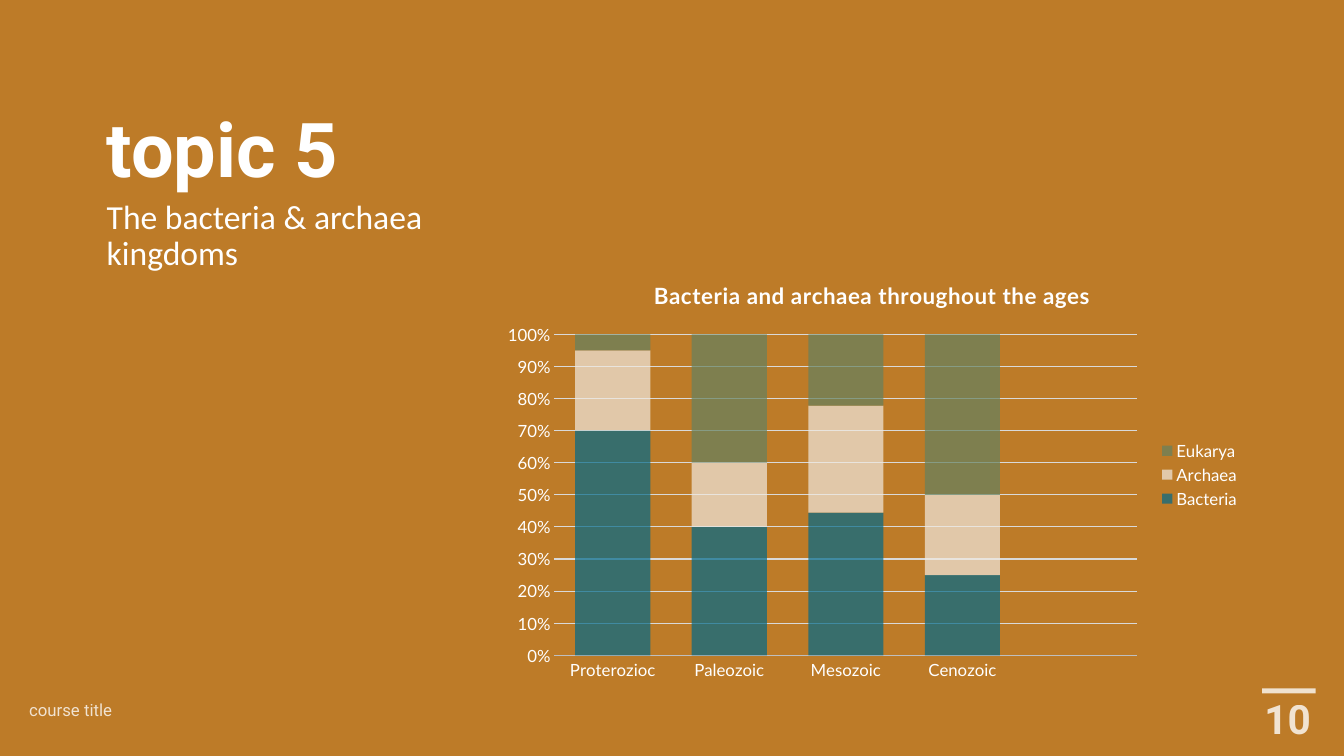
from lxml.etree import SubElement
from pptx import Presentation
from pptx.chart.data import CategoryChartData
from pptx.dml.color import RGBColor
from pptx.enum.chart import XL_CHART_TYPE as ChartType, XL_LEGEND_POSITION as LegendSide, XL_TICK_MARK as Tick
from pptx.enum.shapes import MSO_SHAPE as Preset
from pptx.enum.text import MSO_ANCHOR as Anchor, MSO_AUTO_SIZE as AutoSize, PP_ALIGN as Align
from pptx.oxml import parse_xml
from pptx.oxml.ns import nsdecls, qn
from pptx.util import Pt

OCHRE = RGBColor(0xBD, 0x7B, 0x28)
WHITE = RGBColor(0xFF, 0xFF, 0xFF)
GRID = RGBColor(0xD9, 0xD9, 0xD9)
AXIS = RGBColor(0xBF, 0xBF, 0xBF)
TEAL = RGBColor(0x00, 0x69, 0x8A)
CREAM = RGBColor(0xF1, 0xEA, 0xE0)
GREEN = RGBColor(0x64, 0x82, 0x60)

ERAS = ["Proterozioc", "Paleozoic", "Mesozoic", "Cenozoic", ""]
DOMAINS = [
    ("Bacteria", [70, 40, 44, 25, None], TEAL),
    ("Archaea", [25, 20, 33, 25, None], CREAM),
    ("Eukarya", [5, 40, 22, 50, None], GREEN),
]


def set_opacity(element, percent):
    """Make every RGB colour inside the element partly transparent."""
    for colour in element.iter(qn("a:srgbClr")):
        SubElement(colour, qn("a:alpha")).set("val", str(percent * 1000))


def place(part, box):
    """Move a part to a box of left, top, width and height in points."""
    part.left, part.top, part.width, part.height = map(Pt, box)


def style_font(font, name, size, bold=False):
    """Give a font its face, size and weight in white."""
    font.name, font.size, font.bold = name, Pt(size), bold
    font.color.rgb = WHITE


def write(part, text, face, size, anchor, bold=False, align=Align.LEFT):
    """Put one formatted paragraph into a part and return it."""
    frame = part.text_frame
    frame.word_wrap, frame.auto_size = True, AutoSize.NONE
    frame.vertical_anchor = anchor
    paragraph = frame.paragraphs[0]
    paragraph.text, paragraph.alignment = text, align
    style_font(paragraph.font, face, size, bold)
    return paragraph


def add_heading(slide, box):
    """Fill the title and the subject below it."""
    left, top, width, height = box
    title, subject = slide.shapes.title, slide.placeholders[1]
    place(title, (left, top, 280, 114.5))
    write(title, "topic 5", "Roboto", 54, Anchor.BOTTOM, True).line_spacing = 0.9

    place(subject, (left, top + 112.3, width, height - 112.3))
    line = subject.text_frame.paragraphs[0]
    properties = line._p.get_or_add_pPr()
    properties.set("marL", "0")
    properties.set("indent", "0")
    SubElement(properties, qn("a:buNone"))
    line = write(subject, "The bacteria & archaea kingdoms", "Calibri", 24, Anchor.TOP)
    line.line_spacing, line.space_before = 0.9, Pt(0)


def add_ages_chart(slide, box):
    """Add the stacked column chart of the three domains."""
    data = CategoryChartData()
    data.categories = ERAS
    for name, shares, _ in DOMAINS:
        data.add_series(name, shares)
    chart = slide.shapes.add_chart(ChartType.COLUMN_STACKED_100, *map(Pt, box), data).chart
    style_font(chart.font, "Lato", 12)

    heading = chart.chart_title.text_frame.paragraphs[0]
    heading.text = "Bacteria and archaea throughout the ages"
    style_font(heading.font, "Lato", 16, True)
    heading._p.pPr.find(qn("a:defRPr")).set("spc", "50")
    chart.chart_title.include_in_layout = False

    chart.has_legend = True
    chart.legend.position, chart.legend.include_in_layout = LegendSide.RIGHT, False
    style_font(chart.legend.font, "Lato", 12)

    plot = chart.plots[0]
    plot.gap_width, plot.overlap, plot.vary_by_categories = 55, 100, False
    for series, (_, _, colour) in zip(plot.series, DOMAINS):
        series.format.fill.solid()
        series.format.fill.fore_color.rgb = colour
        set_opacity(series._element, 70)

    eras, shares = chart.category_axis, chart.value_axis
    for axis in (eras, shares):
        axis.major_tick_mark = axis.minor_tick_mark = Tick.NONE
        style_font(axis.tick_labels.font, "Lato", 12)
    eras.format.line.color.rgb, eras.format.line.width = AXIS, Pt(0.75)
    shares.format.line.fill.background()
    shares.maximum_scale, shares.major_unit = 1, 0.1
    shares.tick_labels.number_format = "0%"
    shares.tick_labels.number_format_is_linked = False
    grid = shares.major_gridlines.format.line
    grid.color.rgb, grid.width = GRID, Pt(0.75)

    area = chart._chartSpace.chart.plotArea
    for layout in area.findall(qn("c:layout")):
        area.remove(layout)
    bounds = "".join(f'<c:{key} val="{value}"/>' for key, value in (
        ("layoutTarget", "inner"), ("xMode", "edge"), ("yMode", "edge"),
        ("x", 0.08), ("y", 0.17), ("w", 0.77), ("h", 0.755)))
    area.insert(0, parse_xml(
        f'<c:layout {nsdecls("c")}><c:manualLayout>{bounds}</c:manualLayout></c:layout>'))


def add_footer(slide, box):
    """Add the course title, the page number and the bar above it."""
    left, top, width, height = box
    right = left + width
    bar = slide.shapes.add_shape(Preset.RECTANGLE, *map(Pt, (right - 44.6, top + 5, 38.2, 3.6)))
    bar.shadow.inherit = False
    bar.fill.solid()
    bar.fill.fore_color.rgb = WHITE
    bar.line.fill.background()
    set_opacity(bar._element.spPr, 78)

    course = slide.shapes.add_textbox(*map(Pt, (left, top + 5.8, 324, 28.8)))
    number = slide.shapes.add_textbox(*map(Pt, (right - 52.5, top, 52.5, height)))
    for line in (
        write(course, "course title", "Roboto", 12, Anchor.MIDDLE),
        write(number, "10", "Roboto", 29, Anchor.MIDDLE, True, Align.CENTER),
    ):
        set_opacity(line._p, 78)


def main():
    """Build the topic slide and save it."""
    deck = Presentation()
    deck.slide_width, deck.slide_height = Pt(960), Pt(540)
    slide = deck.slides.add_slide(deck.slide_layouts[1])
    slide.background.fill.solid()
    slide.background.fill.fore_color.rgb = OCHRE
    add_heading(slide, (69, 27.4, 318.2, 195.8))
    add_ages_chart(slide, (352.8, 187.2, 540.7, 303.8))
    add_footer(slide, (13.7, 486.7, 932.4, 53.3))
    deck.save("out.pptx")


if __name__ == "__main__":
    main()
